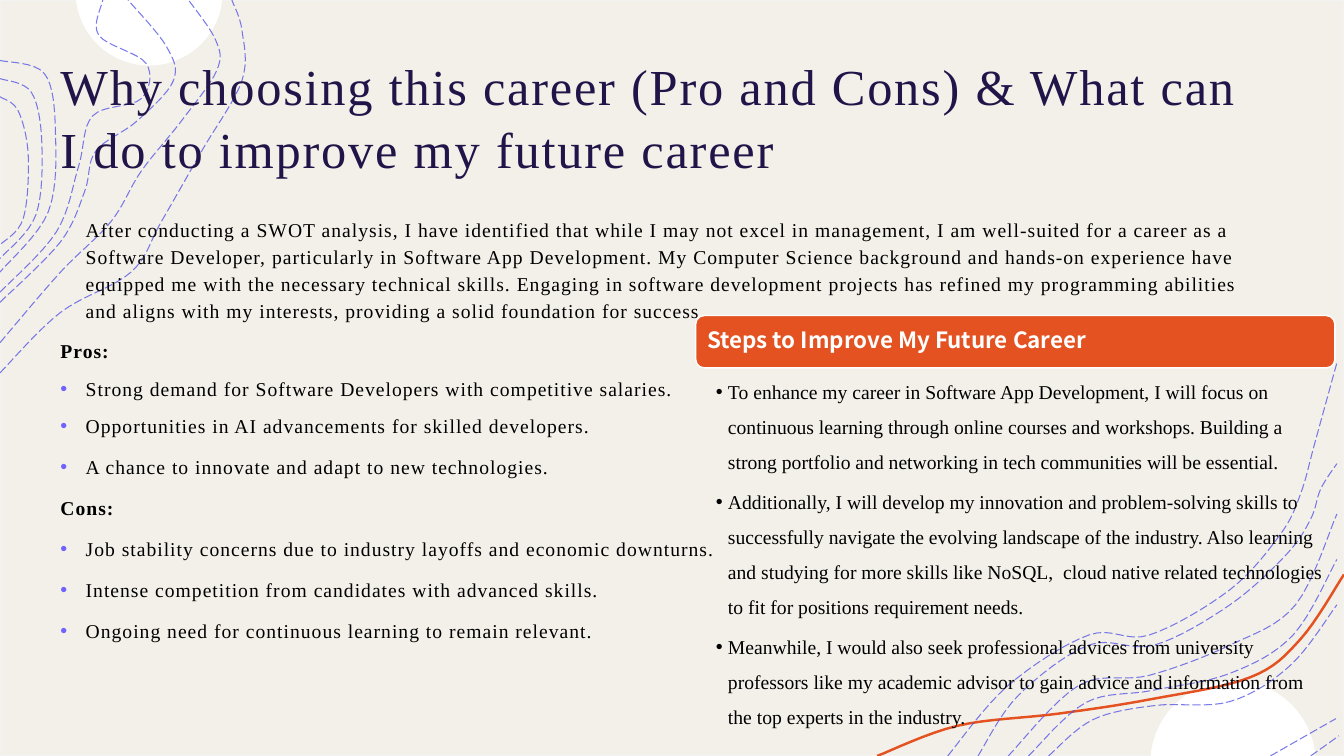
import math
from dataclasses import dataclass

from lxml import etree
from pptx import Presentation
from pptx.dml.color import RGBColor
from pptx.enum.dml import MSO_LINE
from pptx.enum.shapes import MSO_SHAPE
from pptx.enum.text import MSO_ANCHOR, MSO_AUTO_SIZE, PP_ALIGN
from pptx.oxml.ns import qn
from pptx.util import Inches, Pt

RECT, ROUNDED = MSO_SHAPE.RECTANGLE, MSO_SHAPE.ROUNDED_RECTANGLE
TOP, MIDDLE = MSO_ANCHOR.TOP, MSO_ANCHOR.MIDDLE
LONG_DASH = MSO_LINE.LONG_DASH

CELL = Inches(0.1)  # the grid has 133.3 columns and 75 rows
COLS, ROWS = 133.3, 75
SERIF, SANS = "Times New Roman", "Noto Sans CJK SC"
CREAM, PALE, WHITE, BLACK = "F3F0E9", "F2F2F2", "FFFFFF", "000000"
ORANGE, INDIGO, VIOLET, NAVY = "E45221", "4D4EE6", "7162FE", "201449"

Point = tuple[float, float]


@dataclass
class Blob:
    """A disc cut off by the top or bottom edge of the slide."""
    cx: float
    cy: float
    radius: float
    edge: float
    up: bool


@dataclass
class Band:
    """Contour lines spread evenly from the first to the last."""
    first: list[Point]
    last: list[Point]
    count: int = 2


@dataclass
class Entry:
    text: str
    bullet: bool = True
    bold: bool = False
    hang: float = 2.5
    spacing: float = 1.14


BLOBS = [Blob(14.8, -0.8, 7.3, 0, False), Blob(122.3, 75.7, 8.2, ROWS, True)]
ORANGE_CURVE = [(87, ROWS), (95, 72), (105, 70.8), (114, 69.4), (124, 67.2), (129, 63.4),
                (COLS, 57)]
BANDS = [
    # Top left
    Band([(0, 37), (6, 31), (13, 27), (16, 22), (20, 15), (24, 8), (24, 3), (23, 0)],
         [(0, 34), (6, 27), (11, 22), (14, 17), (18, 12), (21.5, 7), (21.4, 4), (18.7, 0)]),
    Band([(0, 30), (6, 24), (8.4, 19), (9.5, 15), (13.6, 12), (17.2, 8), (16.5, 4.6), (12.7, 0)],
         [(0, 29), (5.6, 23), (7.8, 16.5), (9.2, 11.5), (14, 9.8), (14.5, 6.3), (9.8, 3.5),
          (10.2, 0)]),
    Band([(0, 6), (4.4, 7.3), (5.5, 13), (4.8, 21), (0, 27)],
         [(0, 9.6), (1.8, 11), (2.8, 15.4), (2.3, 21.7), (0, 24.3)], 3),
    # Bottom right
    Band([(94, ROWS), (100, 68), (108, 63), (114, 63), (122, 58.5), (127, 53), (129, 49),
          (130.4, 44), (132.6, 36)],
         [(97, ROWS), (101, 69), (108, 64), (114.5, 64), (122, 60), (127.6, 55), (130, 51.5),
          (131, 48.5), (132.6, 46)]),
    Band([(100, ROWS), (107, 68), (114, 67), (122, 64), (128.5, 60), (132.6, 51)],
         [(104, ROWS), (108.4, 71.4), (114.5, 70), (122, 69.6), (128, 66), (132.6, 60)], 3),
    Band([(126, ROWS), (132.5, 71.3)], [(130, ROWS), (132.8, 73)]),
]

TITLE = "Why choosing this career (Pro and Cons) & What can I do to improve my future career"
REASONS = [
    Entry("After conducting a SWOT analysis, I have identified that while I may not excel in management, I am well-suited for a career as a Software Developer, particularly in Software App Development. My Computer Science background and hands-on experience have equipped me with the necessary technical skills. Engaging in software development projects has refined my programming abilities and aligns with my interests, providing a solid foundation for success.", bullet=False, hang=0),
    Entry("Pros:", bullet=False, bold=True),
    Entry("Strong demand for Software Developers with competitive salaries.", spacing=1),
    Entry("Opportunities in AI advancements for skilled developers.", spacing=1),
    Entry("A chance to innovate and adapt to new technologies."),
    Entry("Cons:", bullet=False, bold=True),
    Entry("Job stability concerns due to industry layoffs and economic downturns."),
    Entry("Intense competition from candidates with advanced skills."),
    Entry("Ongoing need for continuous learning to remain relevant."),
]
STEPS = [
    "To enhance my career in Software App Development, I will focus on continuous learning through online courses and workshops. Building a strong portfolio and networking in tech communities will be essential.",
    "Additionally, I will develop my innovation and problem-solving skills to successfully navigate the evolving landscape of the industry. Also learning and studying for more skills like NoSQL,  cloud native related technologies to fit for positions requirement needs.",
    "Meanwhile, I would also seek professional advices from university professors like my academic advisor to gain advice and information from the top experts in the industry.",
]


def grid(n: float) -> int:
    return round(n * CELL)


def rgb(color: str) -> RGBColor:
    return RGBColor.from_string(color)


def paint(sp, fill: str = "", line: str = "", width: float = 1) -> None:
    sp.shadow.inherit = False
    for part, color in ((sp.fill, fill), (sp.line.fill, line)):
        if color:
            part.solid()
            part.fore_color.rgb = rgb(color)
        else:
            part.background()
    if line:
        sp.line.width = Pt(width)


def smooth(knots: list[Point], steps: int = 8) -> list[Point]:
    """Catmull-Rom curve through the knots."""
    ends = [knots[0], *knots, knots[-1]]
    points = [knots[0]]
    for a, b, c, d in zip(ends, ends[1:], ends[2:], ends[3:]):
        for t in (i / steps for i in range(1, steps + 1)):
            points.append(tuple(
                q + t / 2 * (r - p + t * (2 * p - 5 * q + 4 * r - s + t * (3 * q - p - 3 * r + s)))
                for p, q, r, s in zip(a, b, c, d)))
    return points


def contours(band: Band) -> list[list[Point]]:
    shares = [i / (band.count - 1) for i in range(band.count)]
    return [[(x + (u - x) * t, y + (v - y) * t)
             for (x, y), (u, v) in zip(band.first, band.last)] for t in shares]


def outline(s, points: list[Point], close: bool = False):
    start, *rest = [(grid(x), grid(y)) for x, y in points]
    builder = s.shapes.build_freeform(*start)
    builder.add_line_segments(rest, close=close)
    return builder.convert_to_shape()


def arc(b: Blob, steps: int = 48) -> list[Point]:
    start = math.asin((b.edge - b.cy) / b.radius)
    turn = (-math.pi if b.up else math.pi) - 2 * start
    angles = [start + turn * i / steps for i in range(steps + 1)]
    return [(b.cx + b.radius * math.cos(a), b.cy + b.radius * math.sin(a)) for a in angles]


def frame(sp, box: tuple, insets: tuple, anchor=TOP):
    sp.left, sp.top, sp.width, sp.height = map(grid, box)
    tf = sp.text_frame
    tf.word_wrap, tf.auto_size, tf.vertical_anchor = True, MSO_AUTO_SIZE.NONE, anchor
    tf.margin_left, tf.margin_top, tf.margin_right, tf.margin_bottom = map(grid, insets)
    return tf


def write(p, text: str, *, size: float = 14, font: str = SERIF, color: str = BLACK,
          bold: bool = False, track: float = 0, spacing: float = 1, before: float = 0,
          after: float = 0, indent: float = 0, hang: float = 0, bullet: bool = False,
          bullet_color: str = BLACK) -> None:
    p.alignment, p.line_spacing = PP_ALIGN.LEFT, spacing
    p.space_before, p.space_after = Pt(before), Pt(after)
    pPr = p._p.get_or_add_pPr()
    pPr.set("marL", str(grid(indent)))
    pPr.set("indent", str(-grid(hang)))
    if bullet:
        clr = etree.SubElement(pPr, qn("a:buClr"))
        etree.SubElement(clr, qn("a:srgbClr"), val=bullet_color)
        etree.SubElement(pPr, qn("a:buFont"), typeface="Arial")
        etree.SubElement(pPr, qn("a:buChar"), char="•")
    else:
        etree.SubElement(pPr, qn("a:buNone"))
    r = p.add_run()
    r.text = text
    r.font.size, r.font.name, r.font.bold = Pt(size), font, bold
    r.font.color.rgb = rgb(color)
    r._r.get_or_add_rPr().set("spc", str(round(track * 100)))


def draw_backdrop(s) -> None:
    paint(s.shapes.add_shape(RECT, 0, 0, grid(COLS), grid(ROWS)), CREAM, PALE)
    for b in BLOBS:
        paint(outline(s, arc(b), close=True), WHITE)
    paint(outline(s, smooth(ORANGE_CURVE)), line=ORANGE, width=1.75)
    for knots in (k for band in BANDS for k in contours(band)):
        sp = outline(s, smooth(knots))
        paint(sp, line=INDIGO, width=0.75)
        sp.line.dash_style = LONG_DASH
        clr = sp.line._ln.find(".//" + qn("a:srgbClr"))
        etree.SubElement(clr, qn("a:alpha"), val="75000")


def main() -> None:
    prs = Presentation()
    prs.slide_width, prs.slide_height = grid(COLS), grid(ROWS)
    s = prs.slides.add_slide(prs.slide_layouts[3])
    title, reasons, steps = s.placeholders
    draw_backdrop(s)

    # Text stands above the backdrop
    banner = s.shapes.add_shape(ROUNDED, 0, 0, CELL, CELL)
    paint(banner, ORANGE, WHITE)
    for sp in (title, reasons, banner, steps):
        s.shapes._spTree.append(sp._element)

    # Title and reasons
    insets = (1.2, 1.2, 1.2, 1)
    tf = frame(title, (4.8, 4.1, 119.4, 14.5), insets, MIDDLE)
    write(tf.paragraphs[0], TITLE, size=36, color=NAVY, track=1.3, spacing=1.05)
    tf = frame(reasons, (4.8, 20.1, 119.4, 14.5), insets)
    for i, e in enumerate(REASONS):
        write(tf.add_paragraph() if i else tf.paragraphs[0], e.text, bold=e.bold, track=0.7,
              spacing=e.spacing, before=10, indent=2.5, hang=e.hang, bullet=e.bullet,
              bullet_color=VIOLET)

    # Banner and steps
    tf = frame(banner, (69, 31.3, 63.4, 5.2), (0.9, 0.7, 0.9, 0.7), MIDDLE)
    write(tf.paragraphs[0], "Steps to Improve My Future Career", size=16, font=SANS,
          color=WHITE, bold=True, spacing=0.9)
    tf = frame(steps, (69, 36.3, 63.4, 34.5), (2, 0.2, 1.1, 0.2))
    for i, text in enumerate(STEPS):
        write(tf.add_paragraph() if i else tf.paragraphs[0], text, spacing=1.5, after=2.8,
              indent=1.2, hang=1.2, bullet=True)

    prs.save("out.pptx")


if __name__ == "__main__":
    main()
